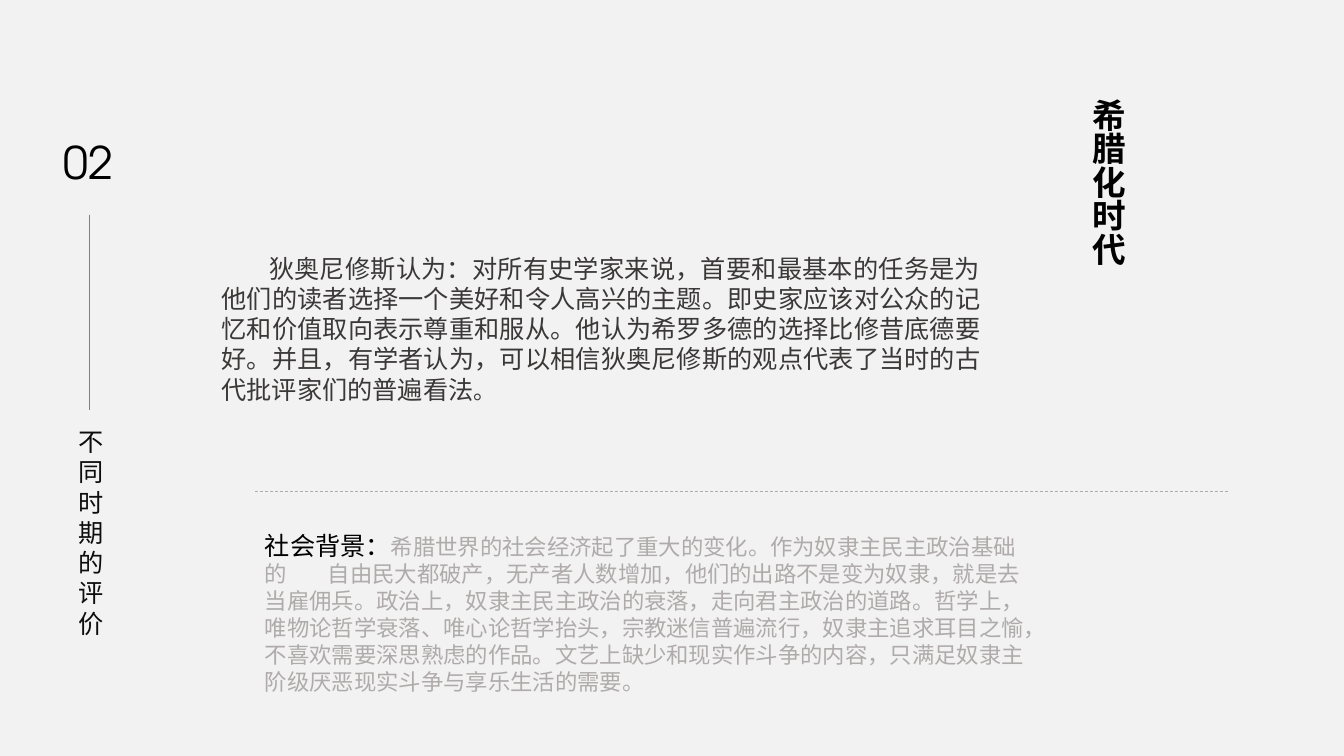
"""Builds the slide on Hellenistic views of history writing."""
from dataclasses import dataclass

from lxml import etree
from pptx import Presentation
from pptx.dml.color import RGBColor
from pptx.enum.dml import MSO_LINE
from pptx.enum.shapes import MSO_CONNECTOR
from pptx.enum.text import MSO_AUTO_SIZE, PP_ALIGN
from pptx.oxml.ns import qn
from pptx.util import Pt

STRAIGHT = MSO_CONNECTOR.STRAIGHT
GROW = MSO_AUTO_SIZE.SHAPE_TO_FIT_TEXT
LEFT, CENTER, JUSTIFY = PP_ALIGN.LEFT, PP_ALIGN.CENTER, PP_ALIGN.JUSTIFY
DASH = MSO_LINE.DASH


@dataclass(frozen=True)
class Theme:
    """Colours, font and type sizes."""
    font: str = "TeX Gyre Adventor"
    paper: str = "F2F2F2"
    black: str = "000000"
    label: str = "0D0D0D"
    body: str = "3B3838"
    muted: str = "AFABAB"
    rule: str = "808080"
    number: int = 32
    title: int = 24
    text: int = 18
    small: int = 16
    hairline: float = 0.5


class Deck:
    """Draws styled elements on the current slide."""

    def __init__(self, prs, theme):
        """Add a blank slide with the theme background."""
        self.theme = theme
        self.s = prs.slides.add_slide(prs.slide_layouts[6])
        fill = self.s.background.fill
        fill.solid()
        fill.fore_color.rgb = RGBColor.from_string(theme.paper)

    def text(self, box, runs, align=LEFT, bold=False, wrap=True, vertical=False):
        """Add a one-paragraph text box of (text, size, colour) runs."""
        sp = self.s.shapes.add_textbox(*map(Pt, box))
        tf = sp.text_frame
        tf.word_wrap = wrap
        tf.auto_size = GROW
        if vertical:
            sp.element.txBody.bodyPr.set("vert", "eaVert")
        p = tf.paragraphs[0]
        p.alignment = align
        for words, size, colour in runs:
            r = p.add_run()
            r.text = words
            r.font.name = self.theme.font
            r.font.size = Pt(size)
            r.font.bold = bold
            r.font.color.rgb = RGBColor.from_string(colour)
            ea = etree.SubElement(r.font._element, qn("a:ea"))
            ea.set("typeface", self.theme.font)
        return p

    def indent(self, p, width):
        """Indent the first line of a paragraph."""
        p._p.get_or_add_pPr().set("indent", str(Pt(width)))

    def tab_stop(self, p, position):
        """Set a left tab stop on a paragraph."""
        tabs = etree.SubElement(p._p.get_or_add_pPr(), qn("a:tabLst"))
        etree.SubElement(tabs, qn("a:tab"), pos=str(Pt(position)), algn="l")

    def line(self, ends, colour, dash=None):
        """Add a hairline between two points."""
        sp = self.s.shapes.add_connector(STRAIGHT, *map(Pt, ends))
        sp.line.color.rgb = RGBColor.from_string(colour)
        sp.line.width = Pt(self.theme.hairline)
        if dash:
            sp.line.dash_style = dash
        etree.SubElement(sp.element.spPr, qn("a:effectLst"))


def main():
    """Build and save the slide."""
    prs = Presentation()
    prs.slide_width, prs.slide_height = Pt(960), Pt(540)
    theme = Theme()
    deck = Deck(prs, theme)

    deck.text((38.2, 92.9, 50.4, 46), [("02", theme.number, theme.black)],
              align=CENTER, wrap=False)
    deck.line((63.6, 153.4, 63.6, 293), theme.rule)
    deck.text((49, 301, 29.5, 159.8), [("不同时期的评价", theme.text, theme.label)])
    deck.text((765.4, 63.4, 43.9, 204.5), [("希腊化时代", theme.title, theme.black)],
              bold=True, vertical=True)

    opinion = deck.text((151.2, 177.1, 556.6, 116.6), [
        ("狄奥尼修斯认为：对所有史学家来说，首要和最基本的任务是为他们的读者选择一个"
         "美好和令人高兴的主题。即史家应该对公众的记忆和价值取向表示尊重和服从。"
         "他认为希罗多德的选择比修昔底德要好。并且，有学者认为，可以相信狄奥尼修斯的"
         "观点代表了当时的古代批评家们的普遍看法", theme.text, theme.body),
        ("。", theme.small, theme.body),
    ], align=JUSTIFY)
    deck.indent(opinion, 34)

    deck.line((182.2, 351.2, 877, 351.2), theme.muted, DASH)
    background = deck.text((182.2, 375.1, 561.6, 126), [
        ("社会背景：", theme.text, theme.black),
        ("希腊世界的社会经济起了重大的变化。作为奴隶主民主政治基础的\t"
         "自由民大都破产，无产者人数增加，他们的出路不是变为奴隶，就是去当雇佣兵。"
         "政治上，奴隶主民主政治的衰落，走向君主政治的道路。哲学上，唯物论哲学衰落、"
         "唯心论哲学抬头，宗教迷信普遍流行，奴隶主追求耳目之愉，不喜欢需要深思熟虑的"
         "作品。文艺上缺少和现实作斗争的内容，只满足奴隶主阶级厌恶现实斗争与享乐生活的"
         "需要。", theme.small, theme.muted),
    ])
    deck.tab_stop(background, 45)

    prs.save("out.pptx")


if __name__ == "__main__":
    main()
